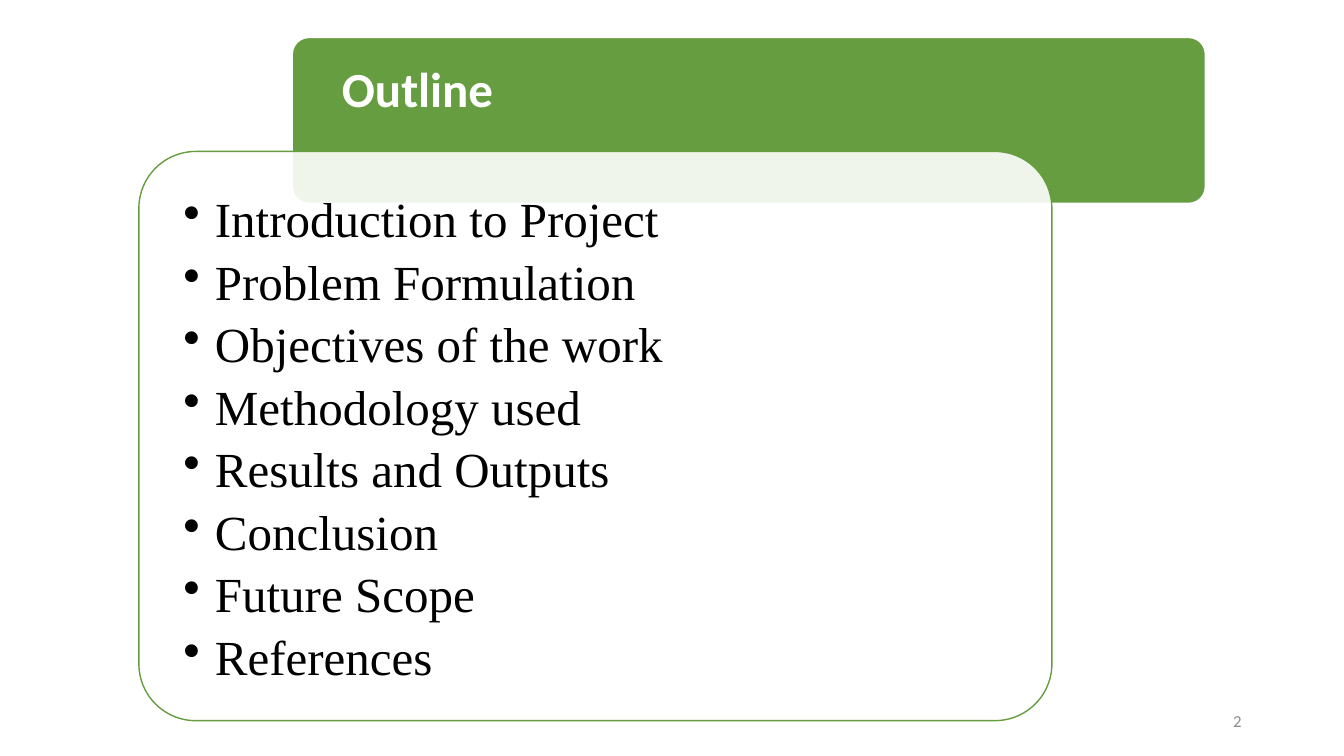
from dataclasses import dataclass

from lxml import etree
from pptx import Presentation
from pptx import util as u
from pptx.dml.color import RGBColor
from pptx.enum import shapes, text
from pptx.oxml.ns import qn
from pptx.slide import Slide

Pt = u.Pt

COLOURS = {
    "green": "669D40",
    "white": "FFFFFF",
    "black": "000000",
    "grey": "8C8C8C",
}

TOPICS = [
    "Introduction to Project",
    "Problem Formulation",
    "Objectives of the work",
    "Methodology used",
    "Results and Outputs",
    "Conclusion",
    "Future Scope",
    "References",
]


@dataclass(frozen=True)
class Box:
    left: float
    top: float
    width: float
    height: float


@dataclass(frozen=True)
class Panel:
    box: Box
    fill: str
    outline: str
    opacity: int = 100


@dataclass(frozen=True)
class Label:
    box: Box
    lines: list[str]
    font: dict
    colour: str
    frame: dict
    paragraph: dict
    bullet_indent: float = 0


def inset(side: float, bottom: float) -> dict:
    return {
        "margin_left": Pt(side),
        "margin_top": Pt(side),
        "margin_right": Pt(side),
        "margin_bottom": Pt(bottom),
    }


PANELS = [
    Panel(Box(208.8, 26.8, 652.2, 118.5), "green", "white"),
    Panel(Box(99.2, 108.2, 652.2, 406.6), "white", "green", opacity=90),
]

LABELS = [
    Label(
        Box(224.6, 26.8, 652.2, 79),
        ["Outline"],
        {"name": "Calibri", "size": Pt(35), "bold": True},
        "white",
        inset(19.6, 10.5),
        {"line_spacing": 0.9},
    ),
    Label(
        Box(111.4, 120.2, 628.3, 382.8),
        TOPICS,
        {"name": "Times New Roman", "size": Pt(35)},
        "black",
        inset(19.6, 19.6),
        {"line_spacing": 0.9, "space_after": Pt(6.8)},
        bullet_indent=22.5,
    ),
    Label(
        Box(678, 500.5, 216, 28.75),
        ["2"],
        {"name": "Calibri", "size": Pt(12)},
        "grey",
        {"vertical_anchor": text.MSO_ANCHOR.MIDDLE},
        {"alignment": text.PP_ALIGN.RIGHT},
    ),
]


def rgb(colour: str) -> RGBColor:
    return RGBColor.from_string(COLOURS[colour])


def place(box: Box) -> tuple[u.Length, ...]:
    return Pt(box.left), Pt(box.top), Pt(box.width), Pt(box.height)


def apply(target: object, values: dict) -> None:
    for name, value in values.items():
        setattr(target, name, value)


def draw_panel(slide: Slide, panel: Panel) -> None:
    card = slide.shapes.add_shape(
        shapes.MSO_SHAPE.ROUNDED_RECTANGLE, *place(panel.box)
    )
    card.adjustments[0] = 0.1
    card.shadow.inherit = False
    card.fill.solid()
    card.fill.fore_color.rgb = rgb(panel.fill)
    card.line.color.rgb = rgb(panel.outline)
    card.line.width = Pt(1)
    if panel.opacity < 100:
        fill_colour = card.fill._xPr.find(qn("a:solidFill"))[0]
        alpha = etree.SubElement(fill_colour, qn("a:alpha"))
        alpha.set("val", str(panel.opacity * 1000))


def add_bullet(paragraph, indent: float) -> None:
    properties = paragraph._p.get_or_add_pPr()
    properties.set("marL", str(Pt(indent)))
    properties.set("indent", str(-Pt(indent)))
    etree.SubElement(properties, qn("a:buChar")).set("char", "•")


def draw_label(slide: Slide, label: Label) -> None:
    frame = slide.shapes.add_textbox(*place(label.box)).text_frame
    frame.word_wrap = True
    apply(frame, label.frame)
    for index, line in enumerate(label.lines):
        paragraph = frame.add_paragraph() if index else frame.paragraphs[0]
        apply(paragraph, label.paragraph)
        if label.bullet_indent:
            add_bullet(paragraph, label.bullet_indent)
        run = paragraph.add_run()
        run.text = line
        apply(run.font, label.font)
        run.font.color.rgb = rgb(label.colour)


def main() -> None:
    deck = Presentation()
    deck.slide_width, deck.slide_height = Pt(960), Pt(540)
    slide = deck.slides.add_slide(deck.slide_layouts[6])
    for panel in PANELS:
        draw_panel(slide, panel)
    for label in LABELS:
        draw_label(slide, label)
    deck.save("out.pptx")


if __name__ == "__main__":
    main()
